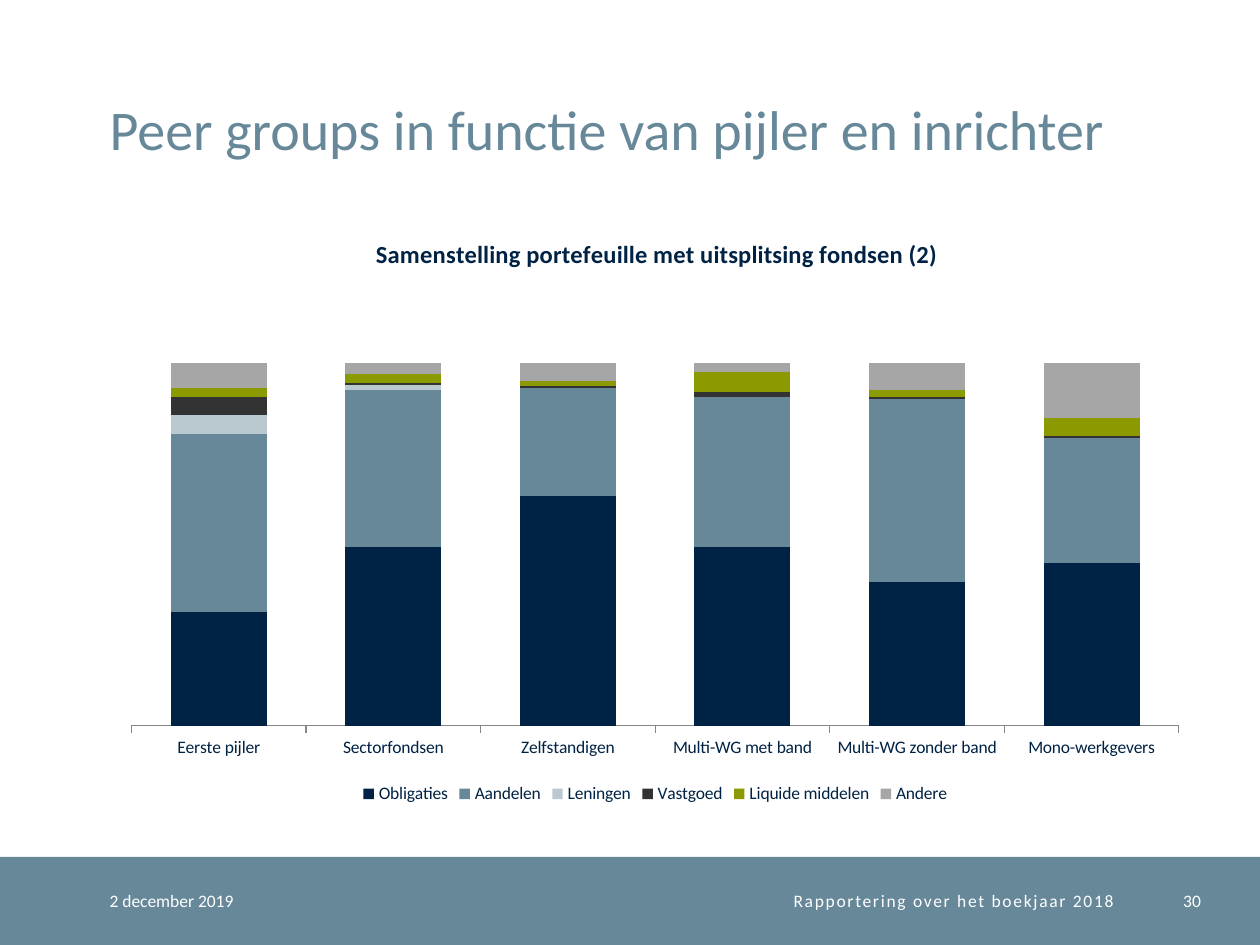
from lxml import etree
from pptx import Presentation
from pptx.chart.data import CategoryChartData
from pptx.dml.color import RGBColor
from pptx.enum.chart import XL_CHART_TYPE, XL_LEGEND_POSITION, XL_TICK_MARK
from pptx.enum.shapes import MSO_SHAPE
from pptx.enum.text import MSO_ANCHOR, MSO_AUTO_SIZE, PP_ALIGN
from pptx.oxml.ns import qn
from pptx.util import Inches, Pt

STACKED = XL_CHART_TYPE.COLUMN_STACKED
LEGEND_BOTTOM = XL_LEGEND_POSITION.BOTTOM
TICK_OUTSIDE, TICK_NONE = XL_TICK_MARK.OUTSIDE, XL_TICK_MARK.NONE
RECTANGLE = MSO_SHAPE.RECTANGLE
MIDDLE, BOTTOM = MSO_ANCHOR.MIDDLE, MSO_ANCHOR.BOTTOM
NO_AUTOFIT = MSO_AUTO_SIZE.NONE
LEFT, RIGHT = PP_ALIGN.LEFT, PP_ALIGN.RIGHT

FONT = "Calibri"
NAVY, STEEL, WHITE, AXIS_GREY = "002244", "668899", "FFFFFF", "868686"

GROUPS = ["Eerste pijler", "Sectorfondsen", "Zelfstandigen",
          "Multi-WG met band", "Multi-WG zonder band", "Mono-werkgevers"]
ASSETS = [
    ("Obligaties", NAVY, (50, 78, 100, 78, 63, 71)),
    ("Aandelen", STEEL, (78, 69, 47, 66, 80, 55)),
    ("Leningen", "BAC9D0", (8, 2, 0, 0, 0, 0)),
    ("Vastgoed", "333333", (8, 1, 1, 2, 1, 1)),
    ("Liquide middelen", "8B9A00", (4, 4, 2, 9, 3, 8)),
    ("Andere", "A6A6A6", (11, 5, 8, 4, 12, 24)),
]


def color(hex_code):
    return RGBColor.from_string(hex_code)


def style_font(font, size, hex_code, bold=False):
    font.name, font.size, font.bold = FONT, Pt(size), bold
    font.color.rgb = color(hex_code)


def set_up_frame(frame, anchor):
    frame.word_wrap = True
    frame.auto_size = NO_AUTOFIT
    frame.vertical_anchor = anchor
    frame.margin_left = frame.margin_right = 0
    frame.margin_top = frame.margin_bottom = 0


def add_title(page, left, top, width, height):
    title = page.shapes.title
    title.left, title.top = Inches(left), Inches(top)
    title.width, title.height = Inches(width), Inches(height)
    set_up_frame(title.text_frame, BOTTOM)
    para = title.text_frame.paragraphs[0]
    para.alignment, para.line_spacing = LEFT, Pt(32)
    span = para.add_run()
    span.text = "Peer groups in functie van pijler en inrichter"
    style_font(span.font, 32, STEEL)


def add_footer(page, left, top, width, height):
    band = page.shapes.add_shape(RECTANGLE, Inches(left), Inches(top), Inches(width), Inches(height))
    band.shadow.inherit = False
    band.fill.solid()
    band.fill.fore_color.rgb = color(STEEL)
    band.line.fill.background()
    entries = [
        ("2 december 2019", 0.87, 1.77, LEFT, 0),
        ("Rapportering over het boekjaar 2018", 2.64, 6.2, RIGHT, 1),
        ("30", 9.04, 0.49, RIGHT, 0),
    ]
    for text, offset, entry_width, alignment, spacing in entries:
        box = page.shapes.add_textbox(Inches(left + offset), Inches(top),
                                      Inches(entry_width), Inches(height))
        set_up_frame(box.text_frame, MIDDLE)
        para = box.text_frame.paragraphs[0]
        para.alignment = alignment
        span = para.add_run()
        span.text = text
        style_font(span.font, 10, WHITE)
        if spacing:
            span.font._element.set("spc", str(spacing * 100))


def set_layout(parent, successors, **settings):
    """Place a chart part by fractions of the chart's size."""
    for old in parent.findall(qn("c:layout")):
        parent.remove(old)
    layout = etree.Element(qn("c:layout"))
    manual = etree.SubElement(layout, qn("c:manualLayout"))
    for name, value in settings.items():
        etree.SubElement(manual, qn(f"c:{name}")).set("val", str(value))
    following = next(child for child in parent if child.tag in map(qn, successors))
    following.addprevious(layout)


def add_portfolio_chart(page, left, top, width, height):
    totals = [sum(column) for column in zip(*(values for _, _, values in ASSETS))]
    chart_data = CategoryChartData()
    chart_data.categories = GROUPS
    for name, _, values in ASSETS:
        shares = [round(value / total, 3) for value, total in zip(values, totals)]
        chart_data.add_series(name, shares)
    chart = page.shapes.add_chart(STACKED, Inches(left), Inches(top), Inches(width),
                                  Inches(height), chart_data).chart
    style_font(chart.font, 10, NAVY)

    chart.has_title = True
    span = chart.chart_title.text_frame.paragraphs[0].add_run()
    span.text = "Samenstelling portefeuille met uitsplitsing fondsen (2)"
    style_font(span.font, 14, NAVY, bold=True)
    chart.chart_title.include_in_layout = False
    set_layout(chart.chart_title._element, ("c:overlay",),
               xMode="edge", yMode="edge", x=0.24, y=0.03)

    chart.has_legend = True
    chart.legend.position = LEGEND_BOTTOM
    chart.legend.include_in_layout = False
    style_font(chart.legend.font, 10, NAVY)

    plot = chart.plots[0]
    plot.gap_width, plot.overlap, plot.vary_by_categories = 82, 100, False
    for series, (_, fill, _) in zip(plot.series, ASSETS):
        series.format.fill.solid()
        series.format.fill.fore_color.rgb = color(fill)
        series.invert_if_negative = False

    groups_axis = chart.category_axis
    groups_axis.major_tick_mark = TICK_OUTSIDE
    groups_axis.minor_tick_mark = TICK_NONE
    groups_axis.format.line.color.rgb = color(AXIS_GREY)
    style_font(groups_axis.tick_labels.font, 10, NAVY)
    values_axis = chart.value_axis
    values_axis.visible = False
    values_axis.has_major_gridlines = False
    values_axis.minimum_scale, values_axis.maximum_scale = 0, 1
    values_axis.tick_labels.number_format = "0.00%"
    values_axis.tick_labels.number_format_is_linked = False
    set_layout(plot._element.getparent(), ("c:barChart",), layoutTarget="inner",
               xMode="edge", yMode="edge", x=0.02, y=0.25, w=0.96, h=0.61)


def main():
    deck = Presentation()
    deck.slide_width, deck.slide_height = Inches(10), Inches(7.5)
    page = deck.slides.add_slide(deck.slide_layouts[5])
    add_footer(page, 0, 6.8, 10, 0.7)
    add_title(page, 0.87, 0.2, 8.63, 1.08)
    add_portfolio_chart(page, 0.87, 1.7, 8.66, 4.72)
    deck.save("out.pptx")


if __name__ == "__main__":
    main()
